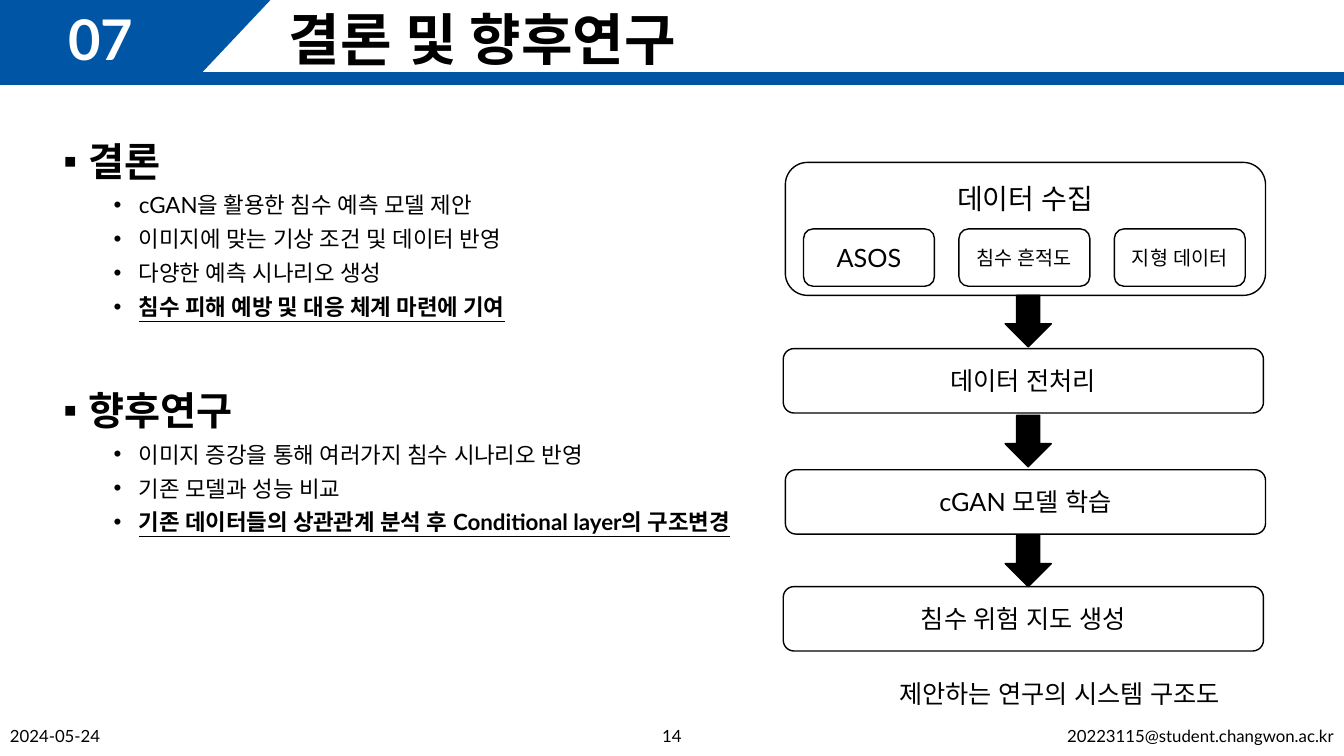
import pptx
import pptx.dml.color
import pptx.enum.shapes
import pptx.enum.text
import pptx.oxml.ns
import pptx.util
from lxml import etree

Pt = pptx.util.Pt
SHAPE = pptx.enum.shapes.MSO_SHAPE
ALIGN = pptx.enum.text.PP_ALIGN
ANCHOR = pptx.enum.text.MSO_ANCHOR
qn = pptx.oxml.ns.qn

FONT = "Lato"
COLORS = {"blue": "0055A5", "black": "000000", "white": "FFFFFF"}

CONCLUSIONS = [
    "cGAN을 활용한 침수 예측 모델 제안",
    "이미지에 맞는 기상 조건 및 데이터 반영",
    "다양한 예측 시나리오 생성",
    "침수 피해 예방 및 대응 체계 마련에 기여",
]
FUTURE_WORK = [
    "이미지 증강을 통해 여러가지 침수 시나리오 반영",
    "기존 모델과 성능 비교",
    "기존 데이터들의 상관관계 분석 후 Conditional layer의 구조변경",
]
SOURCES = [("ASOS", 18), ("침수 흔적도", 14), ("지형 데이터", 14)]
STEPS = [
    ("데이터 전처리", 559.5, 249),
    ("cGAN 모델 학습", 561, 335.5),
    ("침수 위험 지도 생성", 559.5, 419),
]


def rgb(name):
    return pptx.dml.color.RGBColor.from_string(COLORS[name])


def place(sp, x, y, w, h):
    sp.left, sp.top, sp.width, sp.height = Pt(x), Pt(y), Pt(w), Pt(h)


def format_runs(p, size, color="black", bold=False, underline=False):
    """Set one look on all runs, with the same font for Latin and Korean."""
    for r in p.runs:
        r.font.size = Pt(size)
        r.font.bold = bold
        r.font.underline = underline
        r.font.color.rgb = rgb(color)
        r.font.name = FONT
        etree.SubElement(r.font._element, qn("a:ea"), typeface=FONT)


def set_text(sp, text, size, align, anchor=ANCHOR.MIDDLE, color="black",
             bold=False, spacing=1.0):
    tf = sp.text_frame
    tf.word_wrap = True
    tf.auto_size = pptx.enum.text.MSO_AUTO_SIZE.NONE
    tf.vertical_anchor = anchor
    tf.text = text
    p = tf.paragraphs[0]
    p.alignment = align
    p.line_spacing = spacing
    p.space_before = Pt(0)
    format_runs(p, size, color, bold)


def add_label(s, box, text, size, align, **style):
    sp = s.shapes.add_textbox(*map(Pt, box))
    set_text(sp, text, size, align, **style)


def add_solid(s, kind, box, color):
    sp = s.shapes.add_shape(kind, *map(Pt, box))
    sp.shadow.inherit = False
    sp.fill.solid()
    sp.fill.fore_color.rgb = rgb(color)
    sp.line.color.rgb = rgb(color)
    sp.line.width = Pt(1)
    return sp


def add_process(s, box, text, size, anchor=ANCHOR.MIDDLE):
    sp = s.shapes.add_shape(SHAPE.FLOWCHART_ALTERNATE_PROCESS, *map(Pt, box))
    sp.shadow.inherit = False
    sp.fill.background()
    sp.line.color.rgb = rgb("black")
    sp.line.width = Pt(1)
    set_text(sp, text, size, ALIGN.CENTER, anchor)
    return sp


def set_bullet(p, char, margin):
    pPr = p._p.get_or_add_pPr()
    pPr.set("marL", str(Pt(margin)))
    pPr.set("indent", str(Pt(-18)))
    etree.SubElement(pPr, qn("a:buFont"), typeface="Arial")
    etree.SubElement(pPr, qn("a:buChar"), char=char)


def fill_section(sp, box, heading, items):
    """Heading with bulleted items, the last of which is emphasised."""
    place(sp, *box)
    set_text(sp, heading, 28, ALIGN.LEFT, ANCHOR.TOP, bold=True, spacing=0.9)
    tf = sp.text_frame
    set_bullet(tf.paragraphs[0], "▪", 18)
    for item in items:
        p = tf.add_paragraph()
        p.text = item
        p.level = 1
        set_bullet(p, "•", 54)
        p.line_spacing = 1.0
        p.space_before = Pt(5)
        last = item == items[-1]
        format_runs(p, 16, bold=last, underline=last)


def add_header(s):
    add_solid(s, SHAPE.RECTANGLE, (0, 52, 960, 8), "blue")
    add_solid(s, SHAPE.RECTANGLE, (0, 0, 143.5, 52), "blue")
    slant = add_solid(s, SHAPE.ISOSCELES_TRIANGLE, (142, 1.5, 52, 49), "blue")
    slant.adjustments[0] = 0
    slant.rotation = 90
    add_label(s, (24, 5, 96, 50), "07", 40, ALIGN.CENTER, anchor=ANCHOR.TOP,
              color="white", bold=True, spacing=0.9)
    title = s.shapes.title
    place(title, 199, 5, 751, 50)
    set_text(title, "결론 및 향후연구", 40, ALIGN.LEFT, ANCHOR.TOP,
             bold=True, spacing=0.9)


def add_flow(s):
    collect = add_process(s, (561, 116, 343, 95), "데이터 수집", 20, ANCHOR.TOP)
    collect.text_frame.margin_top = Pt(9)
    for i, (text, size) in enumerate(SOURCES):
        add_process(s, (574 + 111 * i, 163.5, 93.5, 41), text, size)
    for i, (text, x, y) in enumerate(STEPS):
        add_process(s, (x, y, 343, 46), text, 18)
        add_solid(s, SHAPE.DOWN_ARROW, (718, 211 + 85.7 * i, 33, 36.7), "black")
    add_label(s, (623, 481, 268, 29), "제안하는 연구의 시스템 구조도", 18,
              ALIGN.CENTER, anchor=ANCHOR.TOP)


def add_footer(s):
    add_label(s, (0, 511, 216, 29), "2024-05-24", 12, ALIGN.LEFT)
    add_label(s, (372, 511, 216, 29), "14", 12, ALIGN.CENTER)
    add_label(s, (636, 511, 324, 29), "20223115@student.changwon.ac.kr", 12,
              ALIGN.RIGHT)


def main():
    prs = pptx.Presentation()
    prs.slide_width, prs.slide_height = Pt(960), Pt(540)
    s = prs.slides.add_slide(prs.slide_layouts.get_by_name("Two Content"))
    add_header(s)
    fill_section(s.placeholders[1], (38, 98, 767, 170), "결론", CONCLUSIONS)
    fill_section(s.placeholders[2], (38, 276, 767, 232), "향후연구", FUTURE_WORK)
    add_flow(s)
    add_footer(s)
    prs.save("out.pptx")


if __name__ == "__main__":
    main()
